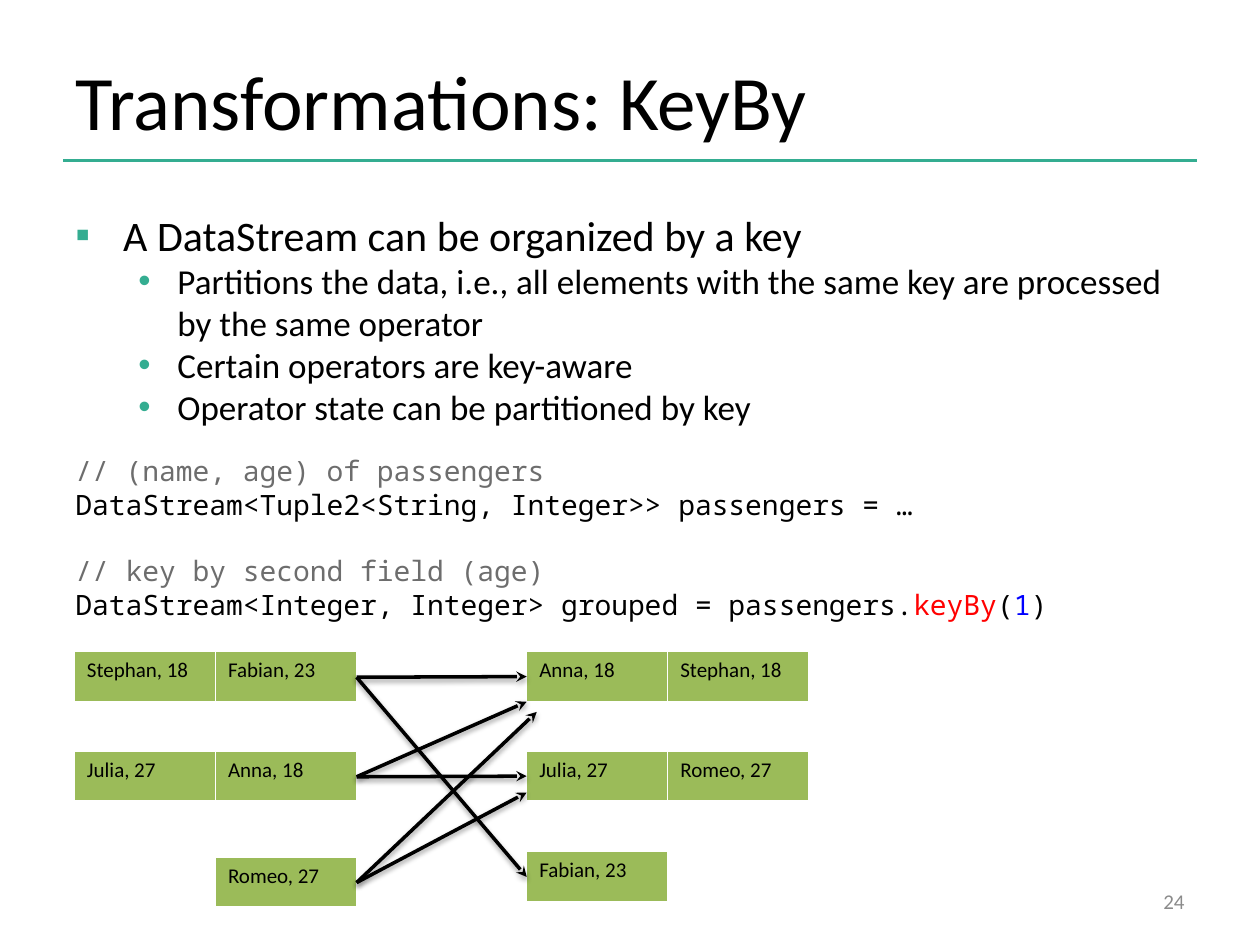
from lxml import etree
from pptx import Presentation
from pptx import util as u
from pptx.dml.color import RGBColor
from pptx.enum import shapes, text
from pptx.oxml import parse_xml
from pptx.oxml.ns import qn

COLORS = {"ink": "000000", "teal": "34AD91", "green": "9BBB59", "white": "FFFFFF",
          "comment": "6D6D6D", "call": "FF0000", "literal": "0000FF", "page": "8B8B8B"}
NS = 'xmlns:a="http://schemas.openxmlformats.org/drawingml/2006/main"'
WIDTH, HEIGHT = 10, 7.5
MARGIN = 0.05 * WIDTH
CELL_W, CELL_H = 1.12, 0.41
SANS, MONO = "Calibri", "Noto Sans Mono"

BULLETS = [(0, "A DataStream can be organized by a key"),
           (1, "Partitions the data, i.e., all elements with the same key are processed "
               "by the same operator"),
           (1, "Certain operators are key-aware"),
           (1, "Operator state can be partitioned by key")]
LEVELS = [{"mark": "▪", "size": 24, "left": 0.38, "hang": 0.38},
          {"mark": "•", "size": 20, "left": 0.81, "hang": 0.31}]
CODE = [[("// (name, age) of passengers", "comment")],
        [("DataStream<Tuple2<String, Integer>> passengers = …", "ink")],
        [("// key by second field (age)", "comment")],
        [("DataStream<Integer, Integer> grouped = passengers.", "ink"), ("keyBy", "call"),
         ("(", "ink"), ("1", "literal"), (")", "ink")]]
SOURCES = [(0, 0, ["Stephan, 18", "Fabian, 23"]),
           (0, 0.79, ["Julia, 27", "Anna, 18"]),
           (1, 1.63, ["Romeo, 27"])]
GROUPS = [(0, 0, ["Anna, 18", "Stephan, 18"]),
          (0, 0.79, ["Julia, 27", "Romeo, 27"]),
          (0, 1.59, ["Fabian, 23"])]
FLOWS = [(0, 0, 1.79), (0, 0, 0.2), (1, 0, 0.99), (1, 0, 0.4), (2, 0, 1.12), (2, 0.08, 0.48)]


def rgb(name):
    """Return the named palette colour."""
    return RGBColor.from_string(COLORS[name])


def write(paragraph, words, size=12, font=SANS, color="ink"):
    """Add a formatted run to a paragraph."""
    run = paragraph.add_run()
    run.text = words
    run.font.size, run.font.name = u.Pt(size), font
    run.font.color.rgb = rgb(color)


def add_frame(slide, left, top, width, height):
    """Add a wrapping text box and return its text frame."""
    frame = slide.shapes.add_textbox(*map(u.Inches, (left, top, width, height))).text_frame
    frame.word_wrap = True
    return frame


def paragraphs(frame, count):
    """Yield the first paragraph and then new ones up to the count."""
    yield frame.paragraphs[0]
    for _ in range(count - 1):
        yield frame.add_paragraph()


def add_line(slide, start, end, color="ink", effect=""):
    """Draw a straight line, optionally with an effect."""
    line = slide.shapes.add_connector(shapes.MSO_CONNECTOR.STRAIGHT,
                                      *map(u.Inches, (*start, *end)))
    line.line.color.rgb, line.line.width = rgb(color), u.Pt(2)
    line._element.spPr.append(parse_xml(f"<a:effectLst {NS}>{effect}</a:effectLst>"))
    return line


def add_arrow(slide, start, end):
    """Draw a shadowed line with a stealth arrowhead."""
    shadow = (f'<a:outerShdw blurRad="{u.Pt(3.1)}" dist="{u.Pt(1.6)}" dir="5400000" '
              f'rotWithShape="0"><a:srgbClr val="{COLORS["ink"]}"><a:alpha val="38000"/>'
              "</a:srgbClr></a:outerShdw>")
    arrow = add_line(slide, start, end, effect=shadow)
    etree.SubElement(arrow.line._get_or_add_ln(), qn("a:tailEnd"), type="stealth")


def add_heading(slide, left, top, width, height):
    """Place the title and the rule beneath it."""
    title = slide.shapes.title
    title.left, title.top, title.width, title.height = map(
        u.Inches, (left, top, 0.82 * WIDTH, height))
    title.text_frame.vertical_anchor = text.MSO_ANCHOR.MIDDLE
    heading = title.text_frame.paragraphs[0]
    heading.alignment = text.PP_ALIGN.LEFT
    write(heading, "Transformations: KeyBy", size=44)
    add_line(slide, (left, top + height), (left + width, top + height), color="teal")


def add_bullets(slide, *box):
    """Write the two-level bullet list."""
    frame = add_frame(slide, *box)
    for paragraph, (depth, words) in zip(paragraphs(frame, len(BULLETS)), BULLETS):
        level = LEVELS[depth]
        paragraph.level = depth
        properties = paragraph._p.get_or_add_pPr()
        properties.set("marL", str(u.Inches(level["left"])))
        properties.set("indent", str(-u.Inches(level["hang"])))
        for bullet in (f'<a:buClr {NS}><a:srgbClr val="{COLORS["teal"]}"/></a:buClr>',
                       f'<a:buFont {NS} typeface="Arial"/>',
                       f'<a:buChar {NS} char="{level["mark"]}"/>'):
            properties.append(parse_xml(bullet))
        write(paragraph, words, size=level["size"])


def add_code(slide, *box):
    """Write the code lines, with a gap before the second statement."""
    frame = add_frame(slide, *box)
    for index, (paragraph, line) in enumerate(zip(paragraphs(frame, len(CODE)), CODE)):
        if index == 2:
            paragraph.space_before = u.Pt(19)
        for words, color in line:
            write(paragraph, words, size=16, font=MONO, color=color)


def add_border(cell):
    """Give a cell white borders, thick at the bottom."""
    for index, (side, width) in enumerate(zip("LRTB", (0.96, 0.96, 0.96, 3))):
        cell._tc.get_or_add_tcPr().insert(index, parse_xml(
            f'<a:ln{side} {NS} w="{u.Pt(width)}"><a:solidFill>'
            f'<a:srgbClr val="{COLORS["white"]}"/></a:solidFill></a:ln{side}>'))


def add_records(slide, left, top, records):
    """Place a one-row table of records."""
    box = (left, top, CELL_W * len(records), CELL_H)
    table = slide.shapes.add_table(1, len(records), *map(u.Inches, box)).table
    table.first_row = table.horz_banding = False
    for column, cell, words in zip(table.columns, table.rows[0].cells, records):
        column.width = u.Inches(CELL_W)
        cell.fill.solid()
        cell.fill.fore_color.rgb = rgb("green")
        add_border(cell)
        write(cell.text_frame.paragraphs[0], words)


def add_partitioning(slide, left, top, width):
    """Place the source and grouped records with the flows between them."""
    source_end, group_left = left + 2 * CELL_W, left + width - 2 * CELL_W
    for side, partitions in ((left, SOURCES), (group_left, GROUPS)):
        for column, drop, records in partitions:
            add_records(slide, side + column * CELL_W, top + drop, records)
    for source, inset, drop in FLOWS:
        start = top + SOURCES[source][1] + CELL_H / 2
        add_arrow(slide, (source_end, start), (group_left + inset, top + drop))


def add_page_number(slide, *box):
    """Write the page number at the lower right."""
    frame = add_frame(slide, *box)
    frame.vertical_anchor = text.MSO_ANCHOR.MIDDLE
    frame.paragraphs[0].alignment = text.PP_ALIGN.RIGHT
    write(frame.paragraphs[0], "24", color="page")


def main():
    """Build and save the slide."""
    deck = Presentation()
    deck.slide_width, deck.slide_height = u.Inches(WIDTH), u.Inches(HEIGHT)
    slide = deck.slides.add_slide(deck.slide_layouts[5])
    content = WIDTH - 2 * MARGIN
    add_heading(slide, MARGIN, 0.04 * HEIGHT, content, 0.13 * HEIGHT)
    add_bullets(slide, MARGIN, 1.61, content, 1.77)
    add_page_number(slide, 7.17, 6.95, 2.33, 0.4)
    add_code(slide, MARGIN, 3.55, content, 1.46)
    add_partitioning(slide, 0.59, 5.17, 5.83)
    deck.save("out.pptx")


if __name__ == "__main__":
    main()
